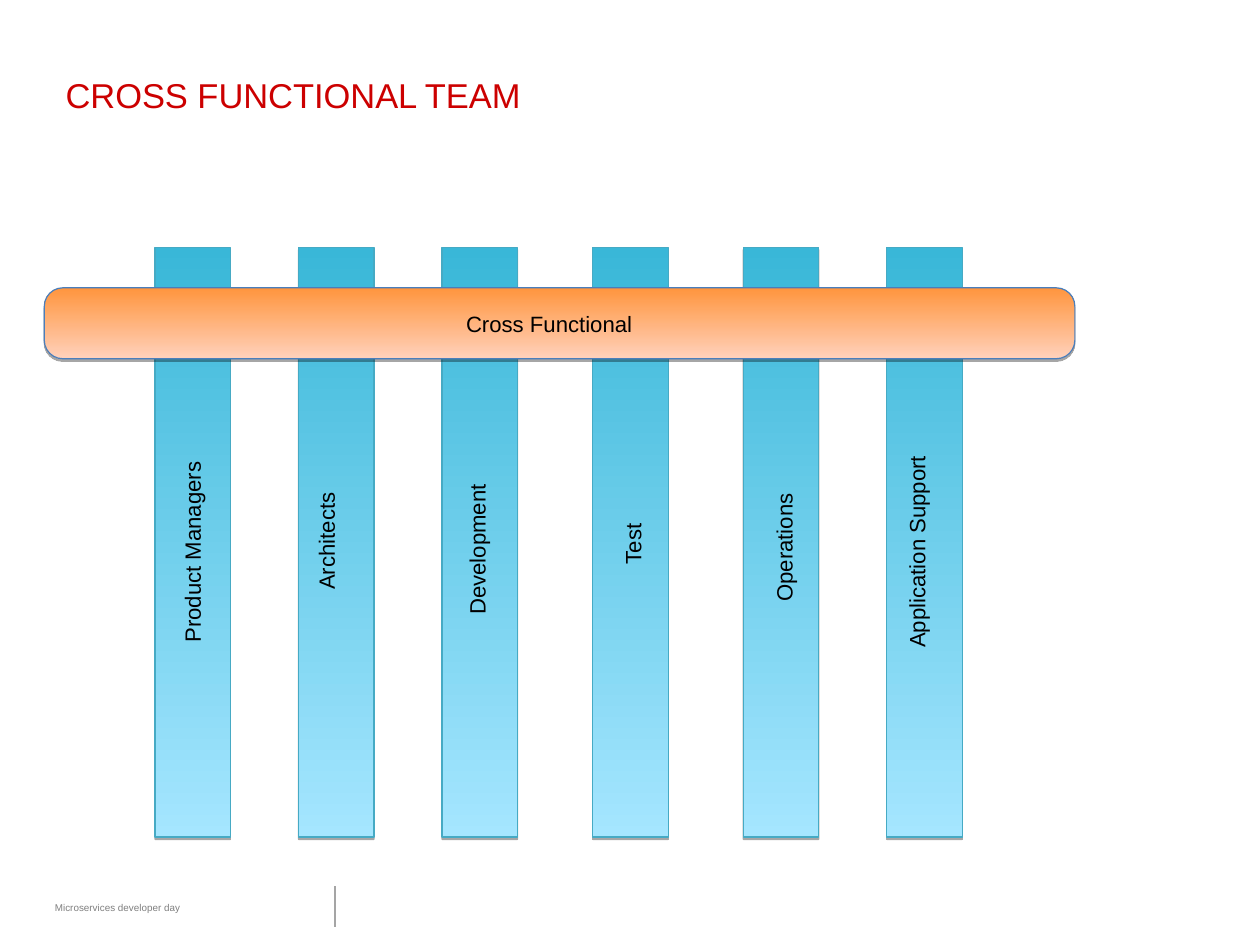
from lxml import etree
from pptx import Presentation
from pptx.dml.color import RGBColor
from pptx.enum.shapes import MSO_CONNECTOR, MSO_SHAPE
from pptx.enum.text import MSO_ANCHOR, MSO_AUTO_SIZE
from pptx.oxml.ns import qn
from pptx.util import Inches, Pt

RECTANGLE, ROUNDED = MSO_SHAPE.RECTANGLE, MSO_SHAPE.ROUNDED_RECTANGLE
STRAIGHT = MSO_CONNECTOR.STRAIGHT
TOP, MIDDLE = MSO_ANCHOR.TOP, MSO_ANCHOR.MIDDLE
FIT_SHAPE, FIXED = MSO_AUTO_SIZE.SHAPE_TO_FIT_TEXT, MSO_AUTO_SIZE.NONE

BLACK = RGBColor(0x00, 0x00, 0x00)
RED = RGBColor(0xCC, 0x00, 0x00)
GREY = RGBColor(0x7F, 0x7F, 0x7F)
RULE_GREY = RGBColor(0xA5, 0xA5, 0xA5)
PILLAR_TOP = RGBColor(0x39, 0xB7, 0xD8)
PILLAR_BOTTOM = RGBColor(0xA5, 0xE6, 0xFF)
PILLAR_LINE = RGBColor(0x46, 0xAA, 0xC4)
BAND_TOP = RGBColor(0xFF, 0x95, 0x3E)
BAND_BOTTOM = RGBColor(0xFF, 0xD1, 0xBB)
BAND_LINE = RGBColor(0x4A, 0x7E, 0xBB)

# Pillar left edge, label, label centre (x, y) and label width, in grid units
PILLARS = [
    (12.31, "Product Managers", 15.23, 58.39, 15.4),
    (23.7, "Architects", 25.88, 57.26, 8.72),
    (35.09, "Development", 37.83, 58.11, 11.39),
    (47.05, "Test", 50.21, 57.54, 4.22),
    (59, "Operations", 62.2, 57.92, 9.63),
    (70.39, "Application Support", 72.75, 58.39, 16.24),
]


class SlideBuilder:
    """Draws on a grid of 100 columns by 100 rows."""

    font_name = "Arial"
    label_height = 4.12

    def __init__(self, presentation):
        self.column = presentation.slide_width / 100
        self.row = presentation.slide_height / 100
        self.slide = presentation.slides.add_slide(presentation.slide_layouts[6])

    def place(self, left, top, width, height):
        return (round(left * self.column), round(top * self.row),
                round(width * self.column), round(height * self.row))

    def text(self, words, box, size, color, inset=0.0, anchor=TOP, wrap=True, fit=FIXED):
        shape = self.slide.shapes.add_textbox(*self.place(*box))
        frame = shape.text_frame
        frame.text = words
        frame.word_wrap = wrap
        frame.auto_size = fit
        frame.vertical_anchor = anchor
        frame.margin_left = frame.margin_right = Inches(inset)
        frame.margin_top = frame.margin_bottom = Inches(inset)
        font = frame.paragraphs[0].runs[0].font
        font.name, font.size = self.font_name, Pt(size)
        font.color.rgb = color
        return shape

    def label(self, words, center_x, center_y, width, rotation=0):
        box = (center_x - width / 2, center_y - self.label_height / 2,
               width, self.label_height)
        shape = self.text(words, box, 18, BLACK, inset=0.07, wrap=False, fit=FIT_SHAPE)
        shape.rotation = rotation

    def block(self, kind, box, top_color, bottom_color, line_color):
        shape = self.slide.shapes.add_shape(kind, *self.place(*box))
        shape.fill.gradient()
        shape.fill.gradient_angle = 270
        for stop, color in zip(shape.fill.gradient_stops, (top_color, bottom_color)):
            stop.color.rgb = color
        shape.line.color.rgb = line_color
        shape.line.width = Pt(1)
        self.drop_shadow(shape)
        return shape

    def drop_shadow(self, shape):
        shape.shadow.inherit = False
        effects = shape._element.spPr.find(qn("a:effectLst"))
        shadow = etree.SubElement(effects, qn("a:outerShdw"), blurRad="0",
                                  dist=str(Pt(2)), dir="5400000", rotWithShape="0")
        color = etree.SubElement(shadow, qn("a:srgbClr"), val=str(BLACK))
        etree.SubElement(color, qn("a:alpha"), val="35000")

    def vertical_rule(self, left, top, bottom, color):
        x, y, _, height = self.place(left, top, 0, bottom - top)
        rule = self.slide.shapes.add_connector(STRAIGHT, x, y, x, y + height)
        rule.line.color.rgb = color
        rule.line.width = Pt(1)
        etree.SubElement(rule._element.spPr, qn("a:effectLst"))


def main():
    presentation = Presentation()
    presentation.slide_width = Inches(14.22)
    presentation.slide_height = Inches(10.67)
    builder = SlideBuilder(presentation)

    # Footer
    builder.vertical_rule(26.58, 93.81, 98.13, RULE_GREY)
    builder.text("Microservices developer day", (4.36, 95.41, 21.8, 1.22), 8, GREY,
                 anchor=MIDDLE, fit=FIT_SHAPE)

    # Title
    builder.text("CROSS FUNCTIONAL TEAM", (4.57, 7.03, 91.35, 12.46), 28, RED, inset=0.09)

    # Team pillars
    for left, words, center_x, center_y, width in PILLARS:
        builder.block(RECTANGLE, (left, 26.15, 5.98, 62.42),
                      PILLAR_TOP, PILLAR_BOTTOM, PILLAR_LINE)
        builder.label(words, center_x, center_y, width, rotation=270)

    # Band across the pillars
    band = builder.block(ROUNDED, (3.52, 30.46, 81.79, 7.5),
                         BAND_TOP, BAND_BOTTOM, BAND_LINE)
    band.adjustments[0] = 0.26
    builder.label("Cross Functional", 43.6, 34.21, 14.21)

    presentation.save("out.pptx")


if __name__ == "__main__":
    main()
